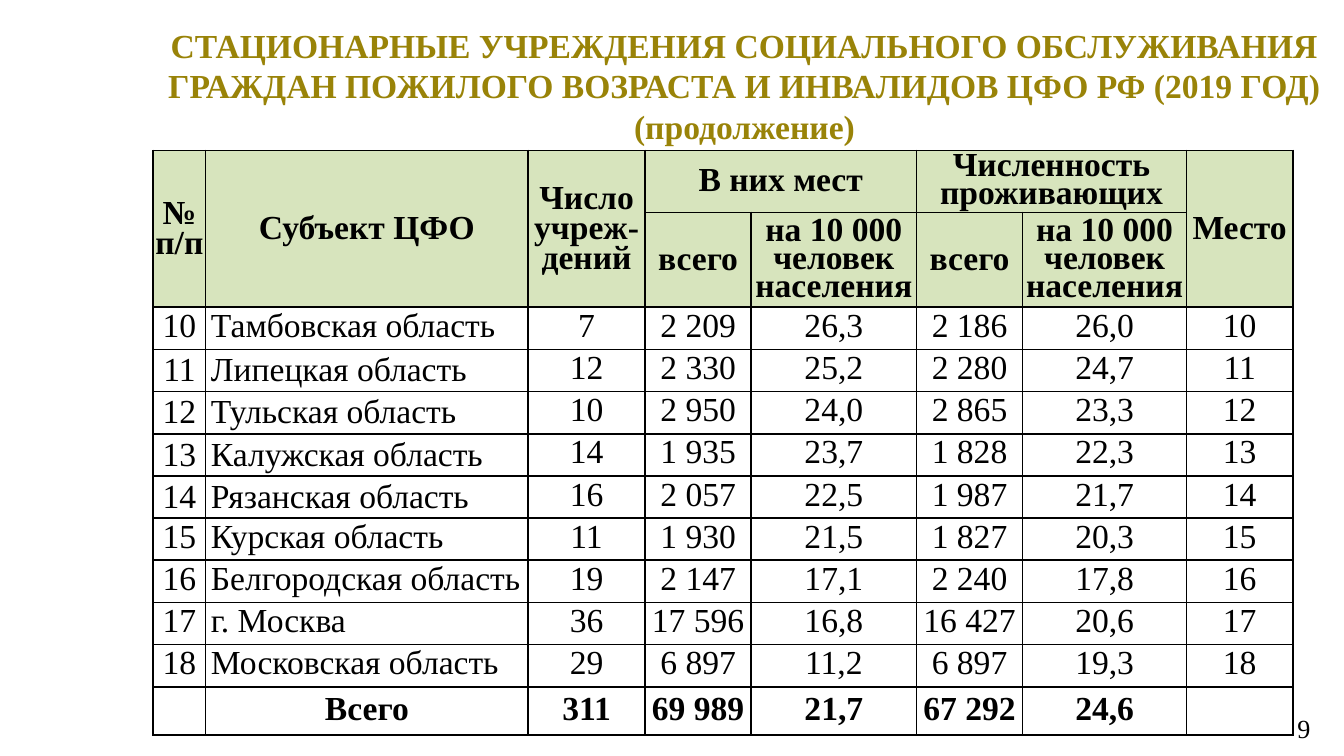
import dataclasses
import typing

import lxml.etree
import pptx
import pptx.dml.color
import pptx.enum.text
import pptx.oxml.ns
import pptx.util

Inches = pptx.util.Inches
Align = pptx.enum.text.PP_ALIGN
Anchor = pptx.enum.text.MSO_ANCHOR
qn = pptx.oxml.ns.qn


@dataclasses.dataclass(frozen=True)
class Theme:
    font: str = "Times New Roman"
    gold: str = "998308"
    green: str = "D7E4BD"
    black: str = "000000"
    main: int = 18
    small: int = 14
    edge: int = 1
    lead: int = 16
    tight: int = 15


THEME = Theme()


@dataclasses.dataclass(frozen=True)
class Head:
    row: int
    col: int
    text: str
    rows: int = 1
    cols: int = 1
    lead: int = THEME.lead


class Entry(typing.NamedTuple):
    rank: str
    name: str
    units: str
    beds: str
    bed_rate: str
    people: str
    rate: str
    place: str
    low: bool = False
    bold: bool = False


WIDE = 10
COLS = [0.39, 2.4, 0.87, 0.79, 1.23, 0.79, 1.22, 0.79]
TOPS = [0.46, 0.68]
LEFT, TOP, HIGH = 1.14, 1.12, 4.28
RATE = "на 10 000 человек населения"

HEADS = [
    Head(0, 0, "№ п/п", rows=2),
    Head(0, 1, "Субъект ЦФО", rows=2),
    Head(0, 2, "Число учреж-дений", rows=2),
    Head(0, 3, "В них мест", cols=2),
    Head(0, 5, "Численность проживающих", cols=2, lead=THEME.tight),
    Head(0, 7, "Место", rows=2),
    Head(1, 3, "всего"),
    Head(1, 4, RATE, lead=THEME.tight),
    Head(1, 5, "всего"),
    Head(1, 6, RATE, lead=THEME.tight),
]

ROWS = [
    Entry("10", "Тамбовская область", "7", "2 209", "26,3", "2 186", "26,0", "10"),
    Entry("11", "Липецкая область", "12", "2 330", "25,2", "2 280", "24,7", "11", low=True),
    Entry("12", "Тульская область", "10", "2 950", "24,0", "2 865", "23,3", "12", low=True),
    Entry("13", "Калужская область", "14", "1 935", "23,7", "1 828", "22,3", "13", low=True),
    Entry("14", "Рязанская область", "16", "2 057", "22,5", "1 987", "21,7", "14", low=True),
    Entry("15", "Курская область", "11", "1 930", "21,5", "1 827", "20,3", "15"),
    Entry("16", "Белгородская область", "19", "2 147", "17,1", "2 240", "17,8", "16"),
    Entry("17", "г. Москва", "36", "17 596", "16,8", "16 427", "20,6", "17"),
    Entry("18", "Московская область", "29", "6 897", "11,2", "6 897", "19,3", "18"),
    Entry("", "Всего", "311", "69 989", "21,7", "67 292", "24,6", "", bold=True),
]


def paint(text: str) -> pptx.dml.color.RGBColor:
    return pptx.dml.color.RGBColor.from_string(text)


def add_run(para, text: str, size: int, color: str, bold: bool = False) -> None:
    run = para.add_run()
    run.text = text
    run.font.name = THEME.font
    run.font.size = pptx.util.Pt(size)
    run.font.bold = bold
    run.font.color.rgb = paint(color)


def size_end(para) -> None:
    end = lxml.etree.SubElement(para._p, qn("a:endParaRPr"), sz=str(THEME.main * 100))
    lxml.etree.SubElement(end, qn("a:latin"), typeface=THEME.font)


def add_edges(cell) -> None:
    props = cell._tc.get_or_add_tcPr()
    for spot, side in enumerate(("a:lnL", "a:lnR", "a:lnT", "a:lnB")):
        line = lxml.etree.Element(qn(side), w=str(pptx.util.Pt(THEME.edge)))
        fill = lxml.etree.SubElement(line, qn("a:solidFill"))
        lxml.etree.SubElement(fill, qn("a:srgbClr"), val=THEME.black)
        props.insert(spot, line)


def fill_cell(cell, text: str, lead: int, bold: bool, align, anchor,
              pads: tuple[float, float, float, float]) -> None:
    cell.margin_left, cell.margin_top, cell.margin_right, cell.margin_bottom = map(Inches, pads)
    cell.vertical_anchor = anchor
    para = cell.text_frame.paragraphs[0]
    para.alignment = align
    para.line_spacing = pptx.util.Pt(lead)
    if text:
        add_run(para, text, THEME.main, THEME.black, bold)
    else:
        size_end(para)


def draw_title(slide) -> None:
    title = slide.shapes.title
    title.left, title.top = Inches(1.11), Inches(0.19)
    title.width, title.height = Inches(8.86), Inches(0.89)
    frame = title.text_frame
    frame.word_wrap = True
    frame.auto_size = pptx.enum.text.MSO_AUTO_SIZE.NONE
    frame.vertical_anchor = Anchor.MIDDLE
    frame.margin_left = frame.margin_right = Inches(0.07)
    frame.margin_top = frame.margin_bottom = Inches(0.04)
    lines = [
        "СТАЦИОНАРНЫЕ УЧРЕЖДЕНИЯ СОЦИАЛЬНОГО ОБСЛУЖИВАНИЯ "
        "ГРАЖДАН ПОЖИЛОГО ВОЗРАСТА И ИНВАЛИДОВ ЦФО РФ (2019 ГОД)",
        "(продолжение)",
    ]
    for spot, line in enumerate(lines):
        para = frame.add_paragraph() if spot else frame.paragraphs[0]
        para.alignment = Align.CENTER
        add_run(para, line, THEME.main, THEME.gold, True)


def draw_table(slide) -> None:
    count = len(TOPS) + len(ROWS)
    table = slide.shapes.add_table(
        count, len(COLS), Inches(LEFT), Inches(TOP), Inches(sum(COLS)), Inches(HIGH)
    ).table
    table.first_row = table.horz_banding = False
    for col, wide in zip(table.columns, COLS):
        col.width = Inches(wide)
    body = (HIGH - sum(TOPS)) / len(ROWS)
    for row, high in zip(table.rows, TOPS + [body] * len(ROWS)):
        row.height = Inches(high)
    for row in range(count):
        for col in range(len(COLS)):
            cell = table.cell(row, col)
            if row < len(TOPS):
                cell.fill.solid()
                cell.fill.fore_color.rgb = paint(THEME.green)
            else:
                cell.fill.background()
            add_edges(cell)
    for head in HEADS:
        cell = table.cell(head.row, head.col)
        if head.rows * head.cols > 1:
            cell.merge(table.cell(head.row + head.rows - 1, head.col + head.cols - 1))
        fill_cell(cell, head.text, head.lead, True, Align.CENTER, Anchor.MIDDLE,
                  (0.01, 0.04, 0.01, 0))
    for row, entry in enumerate(ROWS, len(TOPS)):
        for col, text in enumerate(entry[:len(COLS)]):
            named = col == 1 and not entry.bold
            fill_cell(
                table.cell(row, col), text, THEME.lead, entry.bold,
                Align.LEFT if named else Align.CENTER,
                Anchor.BOTTOM if entry.low and col < 2 else Anchor.MIDDLE,
                (0.04, 0.04, 0.02, 0.02) if named else (0.01, 0.04, 0.01, 0.02),
            )


def draw_number(slide) -> None:
    box = slide.shapes.add_textbox(Inches(7.12), Inches(5.22), Inches(2.73), Inches(0.39))
    frame = box.text_frame
    frame.word_wrap = True
    frame.vertical_anchor = Anchor.MIDDLE
    para = frame.paragraphs[0]
    para.alignment = Align.RIGHT
    add_run(para, "9", THEME.small, THEME.black)


def main() -> None:
    deck = pptx.Presentation()
    deck.slide_width, deck.slide_height = Inches(WIDE), Inches(WIDE * 9 / 16)
    slide = deck.slides.add_slide(deck.slide_layouts[5])
    draw_number(slide)
    draw_title(slide)
    draw_table(slide)
    deck.save("out.pptx")


if __name__ == "__main__":
    main()
